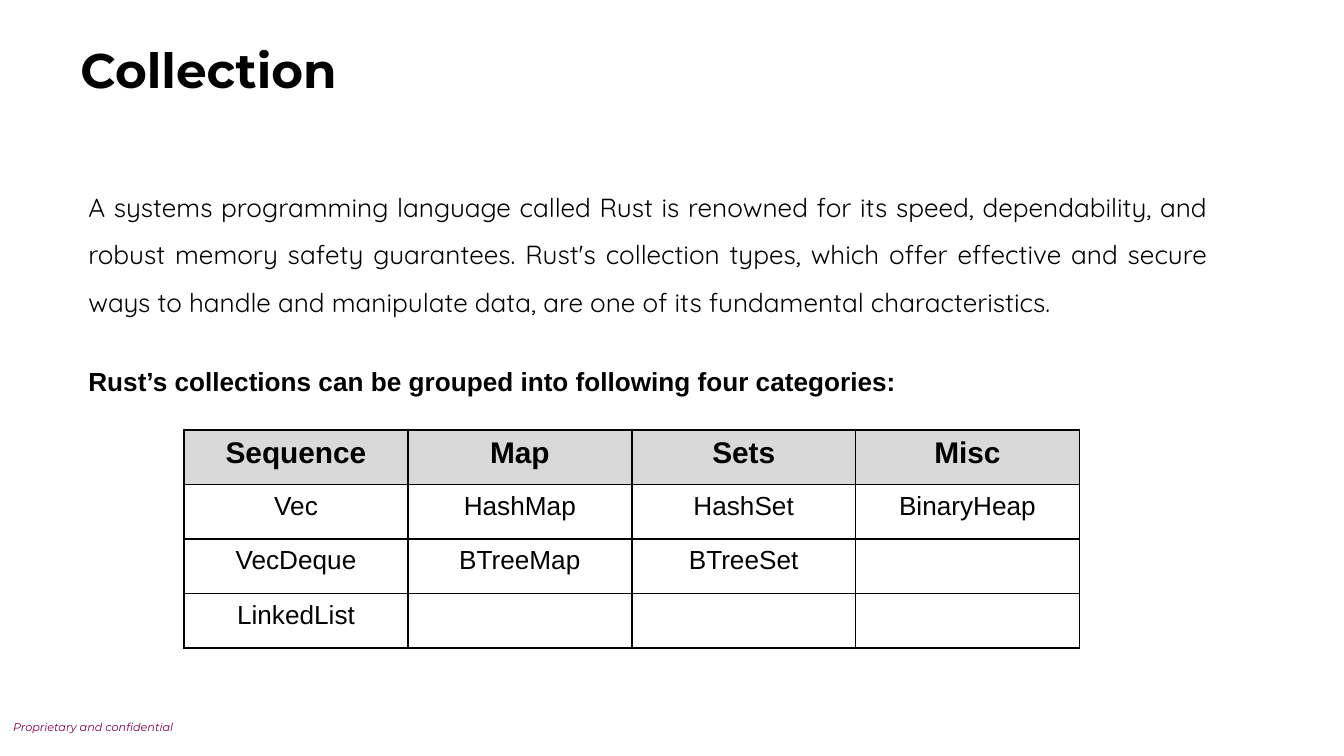
from dataclasses import dataclass

from lxml import etree
from pptx import Presentation
from pptx import util as u
from pptx.dml.color import RGBColor
from pptx.enum import text
from pptx.oxml.ns import qn

COLORS = {"ink": "000000", "footer": "770046", "header": "D9D9D9"}


@dataclass(frozen=True)
class TextStyle:
    font: str
    size: float
    color: str = "ink"
    bold: bool = False
    italic: bool = False
    align: text.PP_ALIGN = text.PP_ALIGN.LEFT
    line_spacing: float = 1.0
    space_before: float = 0


@dataclass(frozen=True)
class Category:
    name: str
    members: tuple[str, ...]


TITLE = TextStyle("Montserrat", 26, bold=True)
FOOTER = TextStyle("Montserrat", 6, "footer", italic=True)
INTRO = TextStyle("Quicksand", 14, align=text.PP_ALIGN.JUSTIFY, line_spacing=1.5)
LEAD_IN = TextStyle("Arial", 14, bold=True, align=text.PP_ALIGN.JUSTIFY,
                    line_spacing=1.5, space_before=17.5)
HEADING = TextStyle("Arial", 16, bold=True, align=text.PP_ALIGN.CENTER)
MEMBER = TextStyle("Arial", 14, align=text.PP_ALIGN.CENTER)

CATEGORIES = [
    Category("Sequence", ("Vec", "VecDeque", "LinkedList")),
    Category("Map", ("HashMap", "BTreeMap")),
    Category("Sets", ("HashSet", "BTreeSet")),
    Category("Misc", ("BinaryHeap",)),
]
COLUMN_WIDTH = 4.23
ROW_HEIGHT = 1.03


def write(para, words: str, style: TextStyle) -> None:
    if words:
        para.add_run().text = words
    para.alignment = style.align
    para.line_spacing = style.line_spacing
    para.space_before = u.Pt(style.space_before)
    para.space_after = u.Pt(0)
    font = para.font
    font.name = style.font
    font.size = u.Pt(style.size)
    font.bold = style.bold
    font.italic = style.italic
    font.color.rgb = RGBColor.from_string(COLORS[style.color])


def place(box, left: float, top: float, width: float, height: float,
          side_margin: float, end_margin: float) -> None:
    box.left, box.top = u.Cm(left), u.Cm(top)
    box.width, box.height = u.Cm(width), u.Cm(height)
    frame = box.text_frame
    frame.word_wrap = True
    frame.auto_size = text.MSO_AUTO_SIZE.NONE
    frame.vertical_anchor = text.MSO_ANCHOR.TOP
    frame.margin_left = frame.margin_right = u.Cm(side_margin)
    frame.margin_top = frame.margin_bottom = u.Cm(end_margin)


def remove_bullet(para) -> None:
    properties = para._p.get_or_add_pPr()
    properties.set("marL", "0")
    properties.set("indent", "0")
    bullet = etree.Element(qn("a:buNone"))
    default_font = properties.find(qn("a:defRPr"))
    default_font.addprevious(bullet)


def add_borders(cell) -> None:
    properties = cell._tc.get_or_add_tcPr()
    for side in ("lnL", "lnR", "lnT", "lnB"):
        line = etree.SubElement(properties, qn(f"a:{side}"), w=str(u.Pt(1)))
        fill = etree.SubElement(line, qn("a:solidFill"))
        etree.SubElement(fill, qn("a:srgbClr"), val=COLORS["ink"])


def fill_cell(cell, words: str, is_header: bool) -> None:
    add_borders(cell)
    if is_header:
        cell.fill.solid()
        cell.fill.fore_color.rgb = RGBColor.from_string(COLORS["header"])
    else:
        cell.fill.background()
    write(cell.text_frame.paragraphs[0], words, HEADING if is_header else MEMBER)


def add_category_table(page, categories: list[Category], left: float, top: float) -> None:
    row_count = 1 + max(len(category.members) for category in categories)
    table = page.shapes.add_table(
        row_count, len(categories), u.Cm(left), u.Cm(top),
        u.Cm(COLUMN_WIDTH * len(categories)), u.Cm(ROW_HEIGHT * row_count)).table
    table.first_row = False
    table.horz_banding = False
    for column, category in enumerate(categories):
        entries = (category.name, *category.members)
        for row in range(row_count):
            words = entries[row] if row < len(entries) else ""
            fill_cell(table.cell(row, column), words, row == 0)


def main() -> None:
    deck = Presentation()
    deck.slide_width, deck.slide_height = u.Cm(25.4), u.Cm(14.29)
    page = deck.slides.add_slide(deck.slide_layouts[1])

    title = page.shapes.title
    place(title, 1.42, 0.66, 17.65, 1.3, 0.1, 0.1)
    write(title.text_frame.paragraphs[0], "Collection", TITLE)

    body = page.placeholders[1]
    place(body, 1.42, 3.2, 21.67, 4.55, 0.25, 0.13)
    intro = body.text_frame.paragraphs[0]
    write(intro, "A systems programming language called Rust is renowned for its speed, "
          "dependability, and robust memory safety guarantees. Rust's collection types, "
          "which offer effective and secure ways to handle and manipulate data, are one "
          "of its fundamental characteristics.", INTRO)
    lead_in = body.text_frame.add_paragraph()
    write(lead_in, "Rust’s collections can be grouped into following four categories:", LEAD_IN)
    for para in (intro, lead_in):
        remove_bullet(para)

    add_category_table(page, CATEGORIES, 3.48, 8.13)

    footer = page.shapes.add_textbox(0, 0, 0, 0)
    place(footer, 0, 13.49, 4.65, 0.76, 0.25, 0.13)
    write(footer.text_frame.paragraphs[0], "Proprietary and confidential", FOOTER)

    deck.save("out.pptx")


if __name__ == "__main__":
    main()
